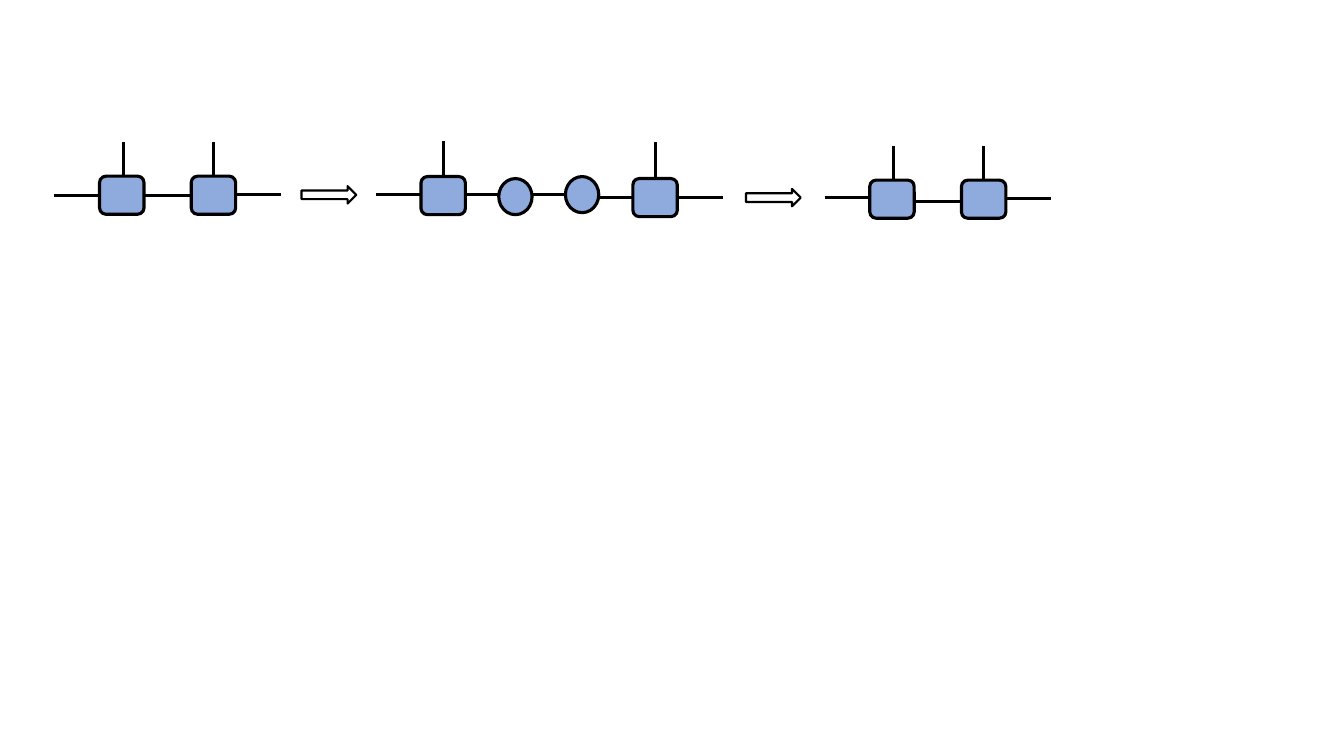
from lxml import etree
from pptx import Presentation
from pptx.dml.color import RGBColor
from pptx.enum.shapes import MSO_CONNECTOR as CONNECTOR, MSO_SHAPE as SHAPE
from pptx.oxml.ns import qn
from pptx.util import Cm, Pt

NODE_WIDTH, NODE_HEIGHT = 1.12, 0.96
TOP, LEFT, BOTTOM, RIGHT = range(4)
BLACK, WHITE, BLUE = "000000", "FFFFFF", "8FAADC"


def color(value):
    """Return the colour for a hex string."""
    return RGBColor.from_string(value)


def add_figure(slide, kind, left, top, width, height, fill=BLUE, weight=2.25):
    """Draw one outlined preset shape, measured in centimetres."""
    shape = slide.shapes.add_shape(kind, Cm(left), Cm(top), Cm(width), Cm(height))
    shape.shadow.inherit = False
    shape.fill.solid()
    shape.fill.fore_color.rgb = color(fill)
    shape.line.color.rgb = color(BLACK)
    shape.line.width = Pt(weight)
    return shape


def add_node(slide, left, top):
    """Draw one square tensor node."""
    return add_figure(slide, SHAPE.ROUNDED_RECTANGLE, left, top, NODE_WIDTH, NODE_HEIGHT)


def add_wire(slide, start, end, begin=None, finish=None):
    """Draw a line, joined to the (shape, side) pairs given for its ends."""
    wire = slide.shapes.add_connector(CONNECTOR.STRAIGHT, *map(Cm, start + end))
    wire.line.color.rgb = color(BLACK)
    wire.line.width = Pt(2.25)
    etree.SubElement(wire._element.spPr, qn("a:effectLst"))
    if begin:
        wire.begin_connect(*begin)
    if finish:
        wire.end_connect(*finish)


def add_pair(slide, left, top, stem, entry, bond, centered):
    """Draw two bonded nodes with open legs; centered joins the side wires."""
    first_left, second_left, node_top = left + 1.14, left + 3.45, top + 0.86
    first = add_node(slide, first_left, node_top)
    second = add_node(slide, second_left, node_top)
    first_right, second_right = first_left + NODE_WIDTH, second_left + NODE_WIDTH
    second_middle = second_left + NODE_WIDTH / 2

    add_wire(slide, (left, top + entry), (first_left, top + entry),
             finish=(first, LEFT) if centered else None)
    add_wire(slide, (first_right, top + bond), (second_left, top + bond),
             begin=(first, RIGHT) if centered else None,
             finish=(second, LEFT) if centered else None)
    add_wire(slide, (second_right, top + 1.32), (left + 5.71, top + 1.32))
    add_wire(slide, (left + stem, top), (left + stem, node_top))
    add_wire(slide, (second_middle, top), (second_middle, node_top),
             finish=(second, TOP))


def add_split_chain(slide, left, top):
    """Draw two nodes with two round factors between them."""
    first_left, second_left = left + 1.14, left + 6.48
    first = add_node(slide, first_left, top + 0.89)
    second = add_node(slide, second_left, top + 0.94)
    for factor_left, factor_top in ((3.10, 0.94), (4.78, 0.89)):
        add_figure(slide, SHAPE.OVAL, left + factor_left, top + factor_top, 0.84, 0.91)

    upper, lower = top + 1.35, top + 1.42
    for start, end in ((0, 1.14), (2.26, 3.10), (3.94, 4.78)):
        add_wire(slide, (left + start, upper), (left + end, upper))
    add_wire(slide, (left + 5.64, lower), (second_left, lower), finish=(second, LEFT))
    add_wire(slide, (second_left + NODE_WIDTH, lower), (left + 8.74, lower),
             begin=(second, RIGHT))
    for node, node_left, stem_top in ((first, first_left, 0), (second, second_left, 0.03)):
        middle = node_left + NODE_WIDTH / 2
        add_wire(slide, (middle, top + stem_top), (middle, top + 0.9), finish=(node, TOP))


def add_step_arrow(slide, left, top):
    """Draw the hollow arrow between two stages."""
    add_figure(slide, SHAPE.RIGHT_ARROW, left, top, 1.38, 0.44, fill=WHITE, weight=1.5)


def main():
    """Build the three-stage diagram and save it."""
    presentation = Presentation()
    presentation.slide_width, presentation.slide_height = Cm(33.87), Cm(19.05)
    slide = presentation.slides.add_slide(presentation.slide_layouts[6])
    add_pair(slide, 1.37, 3.58, stem=1.75, entry=1.34, bond=1.34, centered=True)
    add_step_arrow(slide, 7.6, 4.69)
    add_split_chain(slide, 9.47, 3.56)
    add_step_arrow(slide, 18.8, 4.76)
    add_pair(slide, 20.78, 3.68, stem=1.73, entry=1.3, bond=1.4, centered=False)
    presentation.save("out.pptx")


if __name__ == "__main__":
    main()
